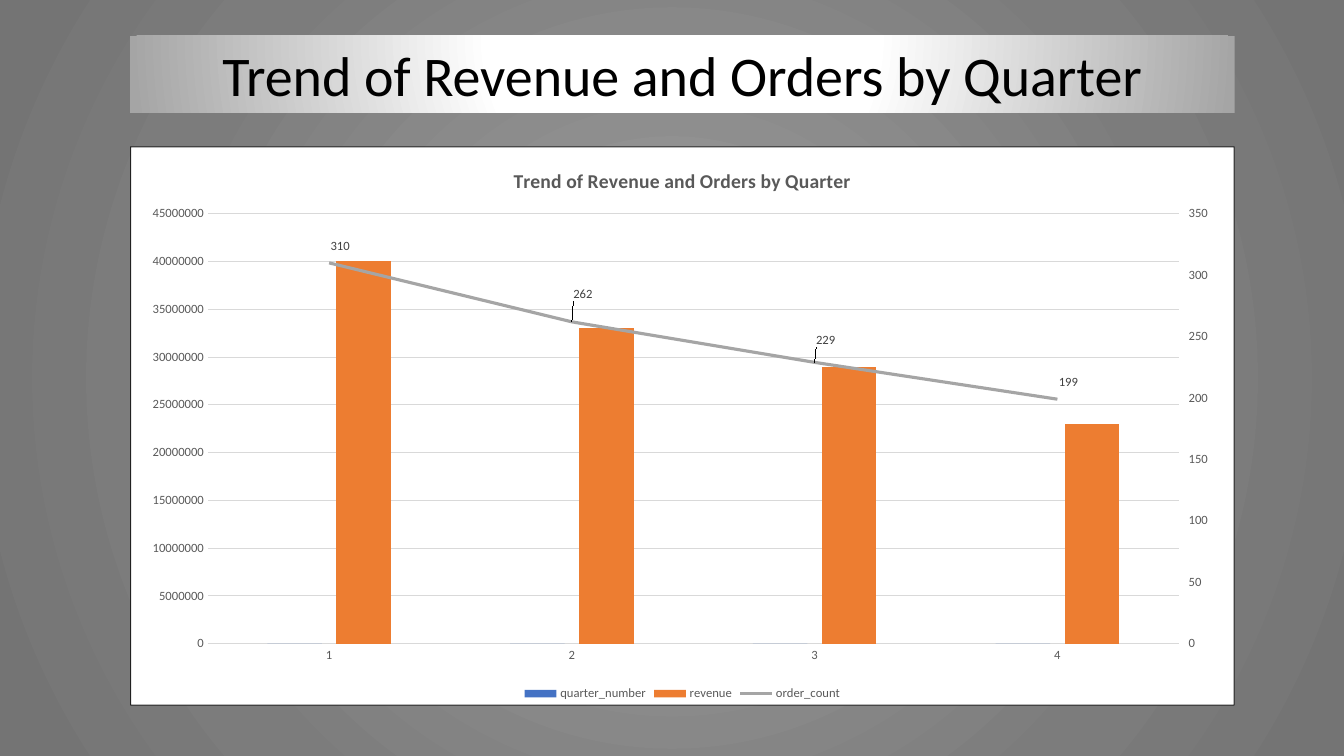
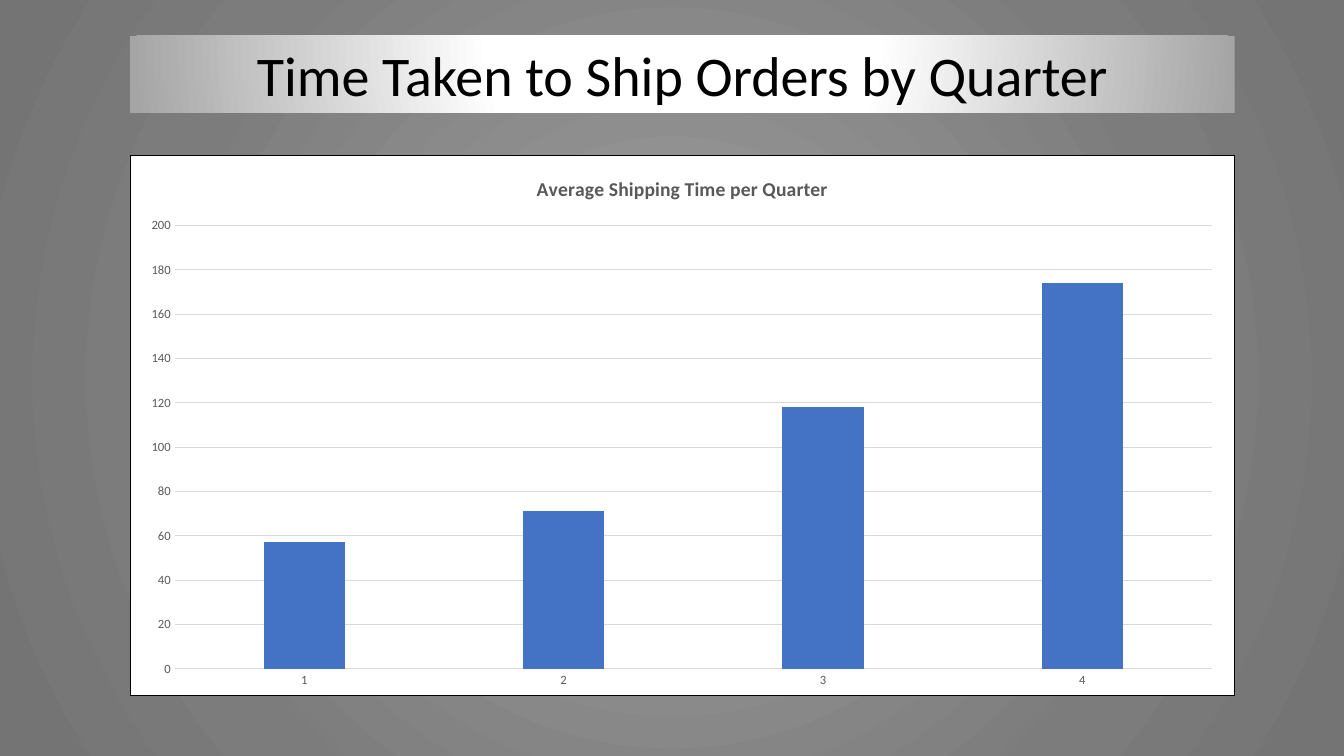
from copy import deepcopy

from pptx import Presentation
from pptx.chart.data import CategoryChartData
from pptx.dml.color import RGBColor
from pptx.enum.chart import XL_CHART_TYPE as CHART
from pptx.enum.chart import XL_LABEL_POSITION as LABEL
from pptx.enum.chart import XL_LEGEND_POSITION as LEGEND
from pptx.enum.chart import XL_MARKER_STYLE as MARKER
from pptx.enum.chart import XL_TICK_MARK as TICK
from pptx.enum.text import MSO_ANCHOR, MSO_AUTO_SIZE, PP_ALIGN
from pptx.oxml import parse_xml
from pptx.oxml.ns import nsdecls, qn
from pptx.util import Pt

# Shared style
FONT = "Calibri"
BLACK, WHITE, GREY, GRID, DARK = "000000", "FFFFFF", "595959", "D9D9D9", "404040"
BLUE, ORANGE, SILVER = "4472C4", "ED7D31", "A5A5A5"
LEFT, WIDTH = 92.9, 789
QUARTERS = ["1", "2", "3", "4"]
BACKDROP = [(0, "939393"), (23, "939393"), (69, "7C7C7C"), (97, "747474")]
BANNER = [(0, WHITE), (35, WHITE), (100, SILVER)]
C15 = "http://schemas.microsoft.com/office/drawing/2012/chart"


def rgb(code):
    return RGBColor.from_string(code)


def set_font(font, size, color, bold=False):
    font.name, font.size, font.bold = FONT, Pt(size), bold
    font.color.rgb = rgb(color)


def set_line(line, color, width):
    line.color.rgb = rgb(color)
    line.width = Pt(width)


def radial_fill(fill, root, stops, focus):
    """Fill with a circular gradient; focus is left, top, right, bottom in percent."""
    fill.solid()
    fill.fore_color.rgb = rgb(WHITE)
    solid = next(root.iter(qn("a:solidFill")))
    solid.getparent().replace(solid, parse_xml(
        f'<a:gradFill {nsdecls("a")} rotWithShape="1"><a:gsLst>'
        + "".join(f'<a:gs pos="{pos * 1000}"><a:srgbClr val="{color}"/></a:gs>'
                  for pos, color in stops)
        + '</a:gsLst><a:path path="circle"><a:fillToRect '
        + " ".join(f'{side}="{v * 1000}"' for side, v in zip("ltrb", focus))
        + '/></a:path></a:gradFill>'))


def set_layout(parent, index, x, y, size=None):
    """Place the plot area, or shift a label, in fractions of the chart area."""
    old = parent.find(qn("c:layout"))
    if old is not None:
        parent.remove(old)
    values = [("x", x), ("y", y)]
    if size:
        modes = [("layoutTarget", "inner"), ("xMode", "edge"), ("yMode", "edge")]
        values = modes + values + list(zip("wh", size))
    body = "".join(f'<c:{tag} val="{v}"/>' for tag, v in values)
    parent.insert(index, parse_xml(
        f'<c:layout {nsdecls("c")}><c:manualLayout>{body}</c:manualLayout></c:layout>'))


def add_title(s, text):
    sp = s.shapes.title
    sp.left, sp.top, sp.width, sp.height = Pt(LEFT), Pt(25.5), Pt(WIDTH), Pt(55.2)
    radial_fill(sp.fill, sp.element.spPr, BANNER, (50, -80, 50, 180))
    tf = sp.text_frame
    tf.word_wrap = True
    tf.auto_size = MSO_AUTO_SIZE.NONE
    tf.vertical_anchor = MSO_ANCHOR.TOP
    p = tf.paragraphs[0]
    p.alignment = PP_ALIGN.CENTER
    r = p.add_run()
    r.text = text
    set_font(r.font, 40, BLACK)


def add_column_chart(s, title, top, height, series, plot, alpha=100):
    """Column chart on a white bordered card; series is (name, values, color)."""
    data = CategoryChartData()
    data.categories = QUARTERS
    for name, values, _ in series:
        data.add_series(name, values)
    chart = s.shapes.add_chart(CHART.COLUMN_CLUSTERED, Pt(LEFT), Pt(top),
                               Pt(WIDTH), Pt(height), data).chart
    set_font(chart.font, 10, BLACK)
    chart.has_legend = False

    # Title
    chart.has_title = True
    r = chart.chart_title.text_frame.paragraphs[0].add_run()
    r.text = title
    set_font(r.font, 14, GREY, bold=True)
    chart.chart_title.include_in_layout = False

    # Axes
    for axis in (chart.category_axis, chart.value_axis):
        axis.major_tick_mark = axis.minor_tick_mark = TICK.NONE
        set_font(axis.tick_labels.font, 9, GREY)
    set_line(chart.category_axis.format.line, GRID, 0.75)
    chart.value_axis.format.line.fill.background()
    set_line(chart.value_axis.major_gridlines.format.line, GRID, 0.75)

    # Columns
    columns = chart.plots[0]
    columns.gap_width, columns.overlap = 219, -27
    columns.vary_by_categories = False
    for ser, (_, _, color) in zip(columns.series, series):
        ser.format.fill.solid()
        ser.format.fill.fore_color.rgb = rgb(color)

    # Plot area and card
    x, y, *size = plot
    set_layout(next(chart.element.iter(qn("c:plotArea"))), 0, x, y, size)
    chart.element.find(qn("c:chart")).addnext(parse_xml(
        f'<c:spPr {nsdecls("c", "a")}>'
        f'<a:solidFill><a:srgbClr val="{WHITE}"/></a:solidFill>'
        f'<a:ln w="{Pt(0.75)}"><a:solidFill><a:srgbClr val="{BLACK}">'
        f'<a:alpha val="{alpha * 1000}"/></a:srgbClr></a:solidFill></a:ln></c:spPr>'))
    return chart


def last_series_to_line(chart):
    """Move the last column series to a line on a right-hand axis."""
    area = next(chart.element.iter(qn("c:plotArea")))
    bars = area.find(qn("c:barChart"))
    ser = bars.findall(qn("c:ser"))[-1]
    for tag in ("c:invertIfNegative", "c:spPr"):
        for child in ser.findall(qn(tag)):
            ser.remove(child)
    line_plot = parse_xml(
        f'<c:lineChart {nsdecls("c")}><c:grouping val="standard"/>'
        '<c:varyColors val="0"/><c:marker val="1"/>'
        '<c:axId val="5001"/><c:axId val="5002"/></c:lineChart>')
    line_plot.insert(2, ser)
    bars.addnext(line_plot)

    left_axis = area.find(qn("c:valAx"))
    right_axis = deepcopy(left_axis)
    right_axis.remove(right_axis.find(qn("c:majorGridlines")))
    for tag, value in (("axId", "5002"), ("axPos", "r"), ("crossAx", "5001"),
                       ("crosses", "max"), ("majorTickMark", "out")):
        right_axis.find(qn(f"c:{tag}")).set("val", value)
    hidden_axis = parse_xml(
        f'<c:catAx {nsdecls("c")}><c:axId val="5001"/>'
        '<c:scaling><c:orientation val="minMax"/></c:scaling>'
        '<c:delete val="1"/><c:axPos val="b"/>'
        '<c:crossAx val="5002"/><c:crosses val="autoZero"/></c:catAx>')
    left_axis.addnext(right_axis)
    right_axis.addnext(hidden_axis)
    return chart.plots[1].series[0]


def style_line(ser, color, label_shifts):
    set_line(ser.format.line, color, 2.25)
    ser.marker.style = MARKER.NONE
    ser.smooth = False
    labels = ser.data_labels
    labels.show_value = True
    labels.position = LABEL.ABOVE
    set_font(labels.font, 9, DARK)
    for i in range(len(label_shifts)):
        label = ser.points[i].data_label
        set_font(label.font, 9, DARK)
        label.position = LABEL.ABOVE

    # Shift the labels without leader lines
    dlbls = next(ser._element.iter(qn("c:dLbls")))
    for dlbl, shift in zip(dlbls.findall(qn("c:dLbl")), label_shifts):
        set_layout(dlbl, 1, 0.01, shift)
    dlbls.append(parse_xml(
        f'<c:extLst {nsdecls("c")}><c:ext uri="{{CE6537A1-D6FC-4f65-9D91-7224C49458BB}}" '
        f'xmlns:c15="{C15}"><c15:showLeaderLines val="0"/></c:ext></c:extLst>'))


def add_legend(chart):
    chart.has_legend = True
    chart.legend.position = LEGEND.BOTTOM
    chart.legend.include_in_layout = False
    set_font(chart.legend.font, 9, GREY)


def main():
    prs = Presentation()
    prs.slide_width, prs.slide_height = Pt(960), Pt(540)
    master = prs.slide_master
    radial_fill(master.background.fill, master.element.cSld, BACKDROP, (50, 50, 50, 50))
    title_only = prs.slide_layouts[5]

    # Revenue and orders
    s = prs.slides.add_slide(title_only)
    heading = "Trend of Revenue and Orders by Quarter"
    add_title(s, heading)
    chart = add_column_chart(
        s, heading, 104.5, 399.5,
        [("quarter_number", [0, 0, 0, 0], BLUE),
         ("revenue", [40000000, 33000000, 29000000, 23000000], ORANGE),
         ("order_count", [310, 262, 229, 199], SILVER)],
        plot=(0.07, 0.12, 0.88, 0.77), alpha=80)
    orders = last_series_to_line(chart)
    style_line(orders, SILVER, [-0.01, -0.03, -0.02, -0.01])
    add_legend(chart)

    # Shipping time
    s = prs.slides.add_slide(title_only)
    add_title(s, "Time Taken to Ship Orders by Quarter")
    add_column_chart(
        s, "Average Shipping Time per Quarter", 110.5, 387,
        [("Series 1", [57, 71, 118, 174], BLUE)],
        plot=(0.04, 0.13, 0.94, 0.82))

    prs.save("out.pptx")


if __name__ == "__main__":
    main()
